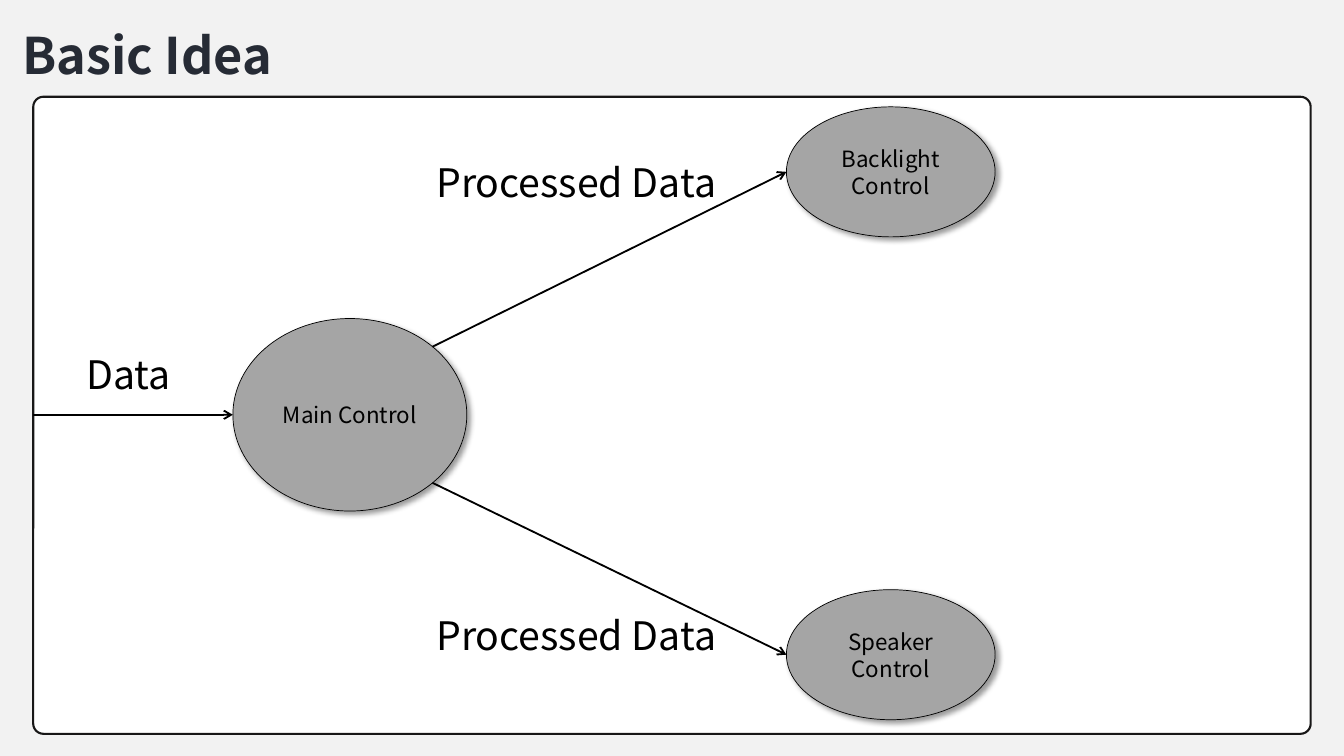
import math
from dataclasses import dataclass
from lxml import etree
from pptx import Presentation, util as u
from pptx.dml.color import RGBColor
from pptx.enum import shapes, text
from pptx.oxml import parse_xml
from pptx.oxml.ns import nsdecls, qn


@dataclass(frozen=True)
class Theme:
    font: str = "Noto Sans CJK KR"
    backdrop: str = "F2F2F2"
    panel: str = "FFFFFF"
    panel_edge: str = "181717"
    heading: str = "262B35"
    node: str = "A5A5A5"
    ink: str = "000000"
    heading_size: int = 36
    flow_size: int = 28
    node_size: int = 16


@dataclass(frozen=True)
class Box:
    left: float
    top: float
    width: float
    height: float

    def within(self, left, top, width, height):
        return Box(self.left + left, self.top + top, width, height)

    def point(self, across, down):
        return self.left + across * self.width, self.top + down * self.height

    def emu(self):
        return [cells(v) for v in (self.left, self.top, self.width, self.height)]


THEME = Theme()
COLUMNS, ROWS = 160, 90
SLIDE_WIDTH, SLIDE_HEIGHT = u.Inches(13.33), u.Inches(7.5)
CELL = SLIDE_HEIGHT / ROWS
DIAGONAL = math.sqrt(0.5) / 2


def cells(count):
    return u.Emu(round(count * CELL))


def colour(value):
    return RGBColor.from_string(value)


def write(paragraph, words, size, ink, bold=False):
    run = paragraph.add_run()
    run.text = words
    run.font.name = THEME.font
    run.font.size = u.Pt(size)
    run.font.bold = bold
    run.font.color.rgb = colour(ink)


def paint(shape, fill, edge, weight):
    shape.shadow.inherit = False
    shape.fill.solid()
    shape.fill.fore_color.rgb = colour(fill)
    shape.line.color.rgb = colour(edge)
    shape.line.width = u.Pt(weight)


def drop_shadow(shape):
    effects = shape._element.spPr.find(qn("a:effectLst"))
    effects.append(parse_xml(
        f'<a:outerShdw {nsdecls("a")} blurRad="{u.Pt(4)}" dist="{u.Pt(3)}" '
        f'dir="2700000" algn="tl" rotWithShape="0"><a:srgbClr val="{THEME.ink}">'
        '<a:alpha val="40000"/></a:srgbClr></a:outerShdw>'))


def add_heading(slide, box):
    heading = slide.shapes.title
    heading.left, heading.top, heading.width, heading.height = box.emu()
    frame = heading.text_frame
    frame.word_wrap = True
    frame.auto_size = text.MSO_AUTO_SIZE.SHAPE_TO_FIT_TEXT
    frame.vertical_anchor = text.MSO_ANCHOR.MIDDLE
    frame.margin_left = u.Inches(0.21)
    paragraph = frame.paragraphs[0]
    paragraph.alignment = text.PP_ALIGN.LEFT
    paragraph.line_spacing = 1.5
    write(paragraph, "Basic Idea", THEME.heading_size, THEME.heading, bold=True)


def add_node(slide, box, lines):
    node = slide.shapes.add_shape(shapes.MSO_SHAPE.OVAL, *box.emu())
    paint(node, THEME.node, THEME.ink, 0.5)
    drop_shadow(node)
    frame = node.text_frame
    frame.word_wrap = True
    frame.vertical_anchor = text.MSO_ANCHOR.MIDDLE
    for index, words in enumerate(lines):
        paragraph = frame.add_paragraph() if index else frame.paragraphs[0]
        paragraph.alignment = text.PP_ALIGN.CENTER
        write(paragraph, words, THEME.node_size, THEME.ink)


def add_flow(slide, start, end):
    flow = slide.shapes.add_connector(
        shapes.MSO_CONNECTOR.STRAIGHT, *map(cells, start + end))
    flow.line.color.rgb = colour(THEME.ink)
    flow.line.width = u.Pt(1.3)
    etree.SubElement(flow.line._get_or_add_ln(), qn("a:tailEnd"), type="arrow")
    etree.SubElement(flow._element.spPr, qn("a:effectLst"))


def add_flow_label(slide, box, words):
    label = slide.shapes.add_textbox(*box.emu())
    label.text_frame.word_wrap = True
    label.text_frame.auto_size = text.MSO_AUTO_SIZE.SHAPE_TO_FIT_TEXT
    write(label.text_frame.paragraphs[0], words, THEME.flow_size, THEME.ink)


def add_control_diagram(slide, box):
    panel = slide.shapes.add_shape(shapes.MSO_SHAPE.ROUNDED_RECTANGLE, *box.emu())
    panel.adjustments[0] = 0.016
    paint(panel, THEME.panel, THEME.panel_edge, 1.5)

    main_control = box.within(23.76, 26.4, 27.84, 22.92)
    add_node(slide, main_control, ["Main Control"])
    data_entry = main_control.point(0, 0.5)
    add_flow(slide, (box.left, data_entry[1]), data_entry)
    add_flow_label(slide, box.within(5.16, 29.64, 82, 6.84), "Data")

    outputs = [
        ("Backlight", 1.2, 6.72, -DIAGONAL),
        ("Speaker", 58.68, 60.72, DIAGONAL),
    ]
    for device, node_row, label_row, exit_side in outputs:
        control = box.within(89.64, node_row, 24.84, 15.48)
        add_node(slide, control, [device, "Control"])
        add_flow(slide, main_control.point(0.5 + DIAGONAL, 0.5 + exit_side),
                 control.point(0, 0.5))
        add_flow_label(slide, box.within(46.8, label_row, 82, 6.84),
                       "Processed Data")


deck = Presentation()
deck.slide_width, deck.slide_height = SLIDE_WIDTH, SLIDE_HEIGHT
basic_idea = deck.slides.add_slide(deck.slide_layouts[5])
backdrop = basic_idea.background.fill
backdrop.solid()
backdrop.fore_color.rgb = colour(THEME.backdrop)
add_heading(basic_idea, Box(0.12, -0.72, COLUMNS, 10.68))
add_control_diagram(basic_idea, Box(3.96, 11.52, 152.04, 75.84))
deck.save("out.pptx")
